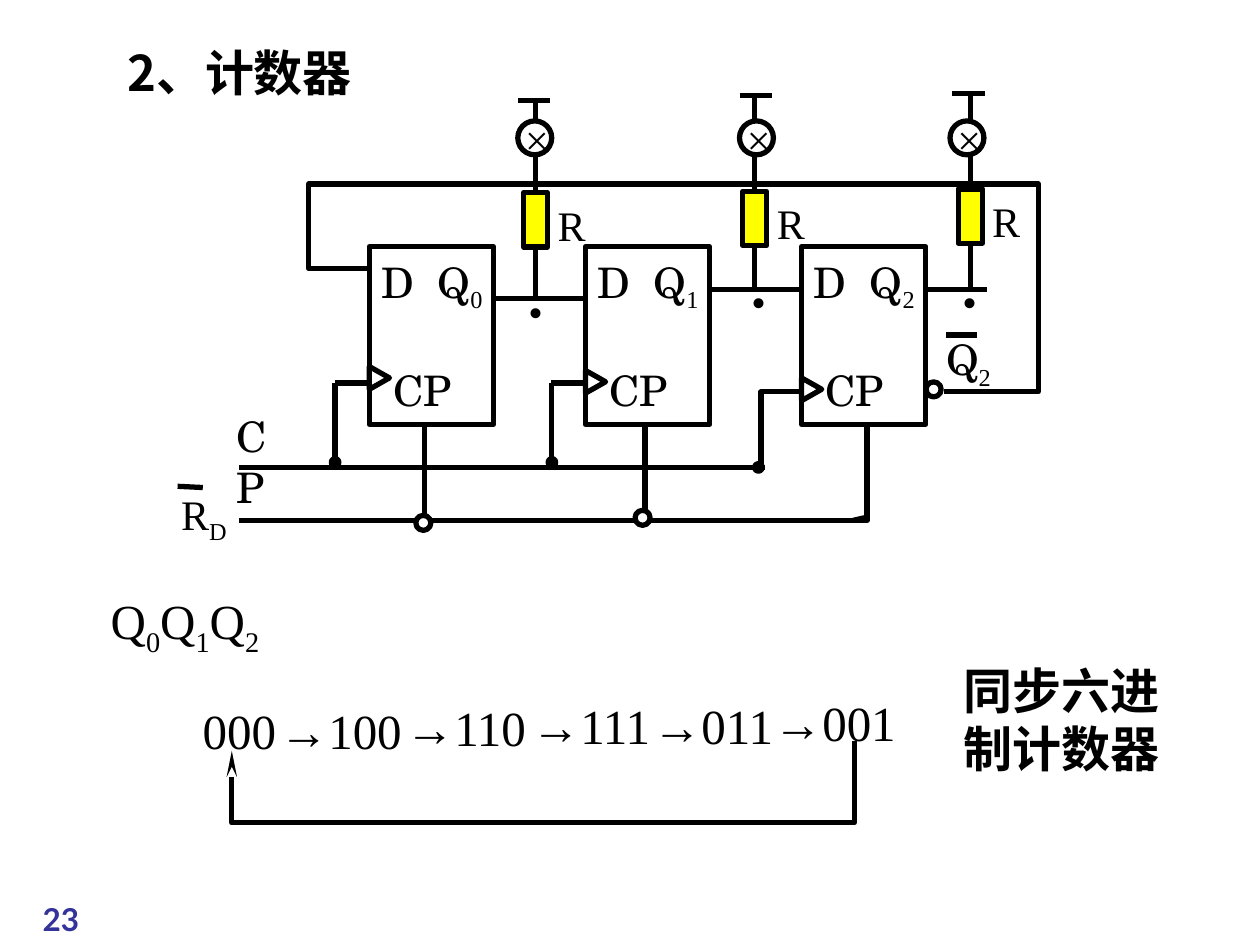
from lxml.etree import SubElement
from pptx import Presentation
from pptx.dml.color import RGBColor
from pptx.enum.shapes import MSO_CONNECTOR, MSO_SHAPE
from pptx.enum.text import MSO_ANCHOR, MSO_AUTO_SIZE, PP_ALIGN
from pptx.oxml.ns import qn
from pptx.util import Pt

COLORS = {"ink": "000000", "paper": "FFFFFF", "resistor": "FFFF00", "number": "333399"}
SERIF, SCHOOL, CJK, SANS = "Times New Roman", "TeX Gyre Schola", "Noto Sans CJK SC", "Lato"

# Flip-flops: output wire y, output wire end x, clock notch top
FLIP_FLOPS = [(170.6, 334.5, 210.2), (165.6, 458, 212.4), (165.6, 563.8, 216.7)]
BLOCK_LEFT, BLOCK_PITCH, BLOCK_TOP, BLOCK_W, BLOCK_H = 211, 123.5, 141, 71, 101.5

# Lamp branches: wire x, wire bottom, wire top, cap left, cap y, lamp left,
# junction box left and top, resistor top
BRANCHES = [
    (306, 170.6, 59, 295.9, 57.6, 295.9, 293, 125.3, 110.2),
    (431.3, 166.3, 54.7, 422.6, 54.7, 422.6, 420.5, 119.5, 109.4),
    (554.4, 164.9, 53.3, 544.3, 53.3, 542.9, 541.4, 119.5, 108),
]
CLOCK_JOINTS = [(191.5, 264.2), (315.4, 264.2), (433.4, 267.1)]
RESETS = [(242.6, 241.9, 298.8), (368.6, 367.2, 295.9)]  # wire x, bubble centre

WIRES = [
    (136.8, 267.1, 437, 267.1),  # clock bus
    (101.5, 277.9, 115.9, 278.6),  # bar over R
    (487.4, 297.4, 493.9, 295.9),
    (540.7, 191.5, 558, 191.5),  # bar over Q
]
PATHS = [
    [(457.2, 223.9), (434.9, 223.9), (434.9, 267.8)],
    [(495.4, 241.9), (495.4, 297.4), (136.8, 297.4)],
    [(539.3, 223.9), (593.3, 223.9), (593.3, 105.1), (176.4, 105.1),
     (176.4, 153.4), (211.7, 153.4)],
]
RETURN_PATH = [(488.2, 423.4), (488.2, 470.2), (132.5, 470.2), (132.5, 429.1)]

# Counting states: text, left, top, width
STATES = [
    ("000", 108.7, 393.8, 63.4), ("→100", 152.6, 393.8, 103), ("→110", 224.6, 392.4, 103),
    ("→111", 296.6, 391, 103), ("→011", 365.8, 391, 103), ("→001", 434.9, 389.5, 103),
]
STATE_VARIABLES = [("Q", SERIF), ("0", SERIF, True), ("Q", SERIF), ("1", SERIF, True),
                   ("Q", SERIF), ("2", SERIF, True)]


def rgb(name):
    return RGBColor.from_string(COLORS[name])


def add_run(paragraph, words, face, size, subscript=False, color="ink", bold=False):
    run = paragraph.add_run()
    run.text = words
    font = run.font
    font.name, font.size, font.bold = face, Pt(size), bold
    font.color.rgb = rgb(color)
    if face == CJK:
        SubElement(font._element, qn("a:ea")).set("typeface", face)
    if subscript:
        font._element.set("baseline", "-25000")


def write(shape, runs, size, **style):
    """Fill a frame with one top-left paragraph of (words, face[, subscript]) runs."""
    frame = shape.text_frame
    frame.word_wrap = True
    frame.auto_size = MSO_AUTO_SIZE.NONE
    frame.vertical_anchor = MSO_ANCHOR.TOP
    # Faces with a low ascent start a tenth of their size further down
    frame.margin_top = Pt(3.6 + (size * 0.1 if runs[0][1] in (SERIF, CJK) else 0))
    paragraph = frame.paragraphs[0]
    paragraph.alignment = PP_ALIGN.LEFT
    if runs[0][1] == CJK:
        paragraph.line_spacing = Pt(size * 1.2)
    for run in runs:
        add_run(paragraph, *run[:2], size, *run[2:], **style)


def add_label(shapes, box, runs, size=24, **style):
    write(shapes.add_textbox(*map(Pt, box)), runs, size, **style)


def paint(shape, fill=None, line="ink"):
    shape.shadow.inherit = False
    if fill:
        shape.fill.solid()
        shape.fill.fore_color.rgb = rgb(fill)
    else:
        shape.fill.background()
    shape.line.color.rgb = rgb(line)
    shape.line.width = Pt(3)
    return shape


def add_outline(shapes, kind, box, fill=None, line="ink"):
    return paint(shapes.add_shape(kind, *map(Pt, box)), fill, line)


def add_disc(shapes, x, y, diameter, fill=None):
    corner = (x - diameter / 2, y - diameter / 2)
    add_outline(shapes, MSO_SHAPE.OVAL, (*corner, diameter, diameter), fill)


def add_wire(shapes, *ends):
    wire = shapes.add_connector(MSO_CONNECTOR.STRAIGHT, *map(Pt, ends))
    wire.line.color.rgb = rgb("ink")
    wire.line.width = Pt(3)
    SubElement(wire._element.spPr, qn("a:effectLst"))


def add_path(shapes, points):
    start, *rest = [(Pt(x), Pt(y)) for x, y in points]
    builder = shapes.build_freeform(*start)
    builder.add_line_segments(rest, close=False)
    return paint(builder.convert_to_shape())


def add_flip_flop(shapes, index, output_y, output_end, notch_top):
    left = BLOCK_LEFT + index * BLOCK_PITCH
    block = add_outline(shapes, MSO_SHAPE.RECTANGLE, (left, BLOCK_TOP, BLOCK_W, BLOCK_H))
    write(block, [("D  Q", SCHOOL), (str(index), SERIF, True)], 24)
    frame = block.text_frame
    frame.word_wrap = False
    frame.vertical_anchor = MSO_ANCHOR.MIDDLE
    for gap in (frame.add_paragraph(), frame.add_paragraph()):
        gap.alignment = PP_ALIGN.LEFT
        gap.font.size = Pt(24)
    add_run(gap, " CP", SCHOOL, 24)
    add_wire(shapes, left + BLOCK_W, output_y, output_end, output_y)
    notch = add_outline(shapes, MSO_SHAPE.ISOSCELES_TRIANGLE, (left - 0.7, notch_top, 13, 11.5))
    notch.rotation = 90
    if index < 2:
        add_wire(shapes, left - 19.5, 218.9, left, 218.9)
        add_wire(shapes, left - 19.5, 218.9, left - 19.5, 262)


def add_lamp_branch(shapes, x, bottom, top, cap_left, cap_y, lamp_left,
                    joint_left, joint_top, resistor_top):
    add_wire(shapes, x, bottom, x, top)
    add_wire(shapes, cap_left, cap_y, cap_left + 18.5, cap_y)
    add_disc(shapes, lamp_left + 9.7, 78.8, 19.4, "paper")
    add_label(shapes, (lamp_left - 2.9, 59, 41, 36), [("×", SERIF)])
    add_label(shapes, (joint_left, joint_top, 28, 64.8), [(".", SERIF)], 48)
    add_outline(shapes, MSO_SHAPE.RECTANGLE, (x - 6.8, resistor_top, 13.7, 31), "resistor")
    add_label(shapes, (x + 5.5, resistor_top - 2.3, 44.6, 36), [("R", SERIF)])


def main():
    deck = Presentation()
    deck.slide_width, deck.slide_height = Pt(720), Pt(540)
    slide = deck.slides.add_slide(deck.slide_layouts[5])
    slide.background.fill.solid()
    slide.background.fill.fore_color.rgb = rgb("paper")
    shapes = slide.shapes

    title = shapes.title
    title.left, title.top, title.width, title.height = map(Pt, (65.5, 18, 199.4, 41))
    write(title, [("2、计数器", CJK)], 28, bold=True)

    for index, flip_flop in enumerate(FLIP_FLOPS):
        add_flip_flop(shapes, index, *flip_flop)
    for wire in WIRES:
        add_wire(shapes, *wire)
    for points in PATHS:
        add_path(shapes, points)
    for x, y in CLOCK_JOINTS:
        add_disc(shapes, x, y, 4.3, "ink")
    for x, bubble_x, bubble_y in RESETS:
        add_wire(shapes, x, 242, x, 296)
        add_disc(shapes, bubble_x, bubble_y, 8.6, "paper")
    add_disc(shapes, 533.5, 222.5, 8.6)
    add_label(shapes, (128.2, 231.1, 44.6, 36), [("CP", SCHOOL)])
    add_label(shapes, (96.5, 272.9, 69.1, 36), [("R", SERIF), ("D", SERIF, True)])
    add_label(shapes, (533.5, 187.2, 42.5, 36), [("Q", SCHOOL), ("2", SERIF, True)])
    for branch in BRANCHES:
        add_lamp_branch(shapes, *branch)

    variables = add_outline(shapes, MSO_SHAPE.RECTANGLE, (56.2, 331.2, 126.7, 41), line="paper")
    write(variables, STATE_VARIABLES, 28)
    for state, left, top, width in STATES:
        add_label(shapes, (left, top, width, 41), [(state, SERIF)], 28)
    return_arrow = add_path(shapes, RETURN_PATH)
    head = SubElement(return_arrow.line._get_or_add_ln(), qn("a:tailEnd"))
    for key, value in (("type", "stealth"), ("w", "sm"), ("len", "lg")):
        head.set(key, value)
    conclusion = add_outline(shapes, MSO_SHAPE.RECTANGLE, (543.6, 370.8, 142.6, 74.2), line="paper")
    write(conclusion, [("同步六进制计数器", CJK)], 28, bold=True)
    add_label(shapes, (17.3, 510.5, 71.3, 26.6), [("23", SANS)], 18, color="number", bold=True)
    deck.save("out.pptx")


if __name__ == "__main__":
    main()
